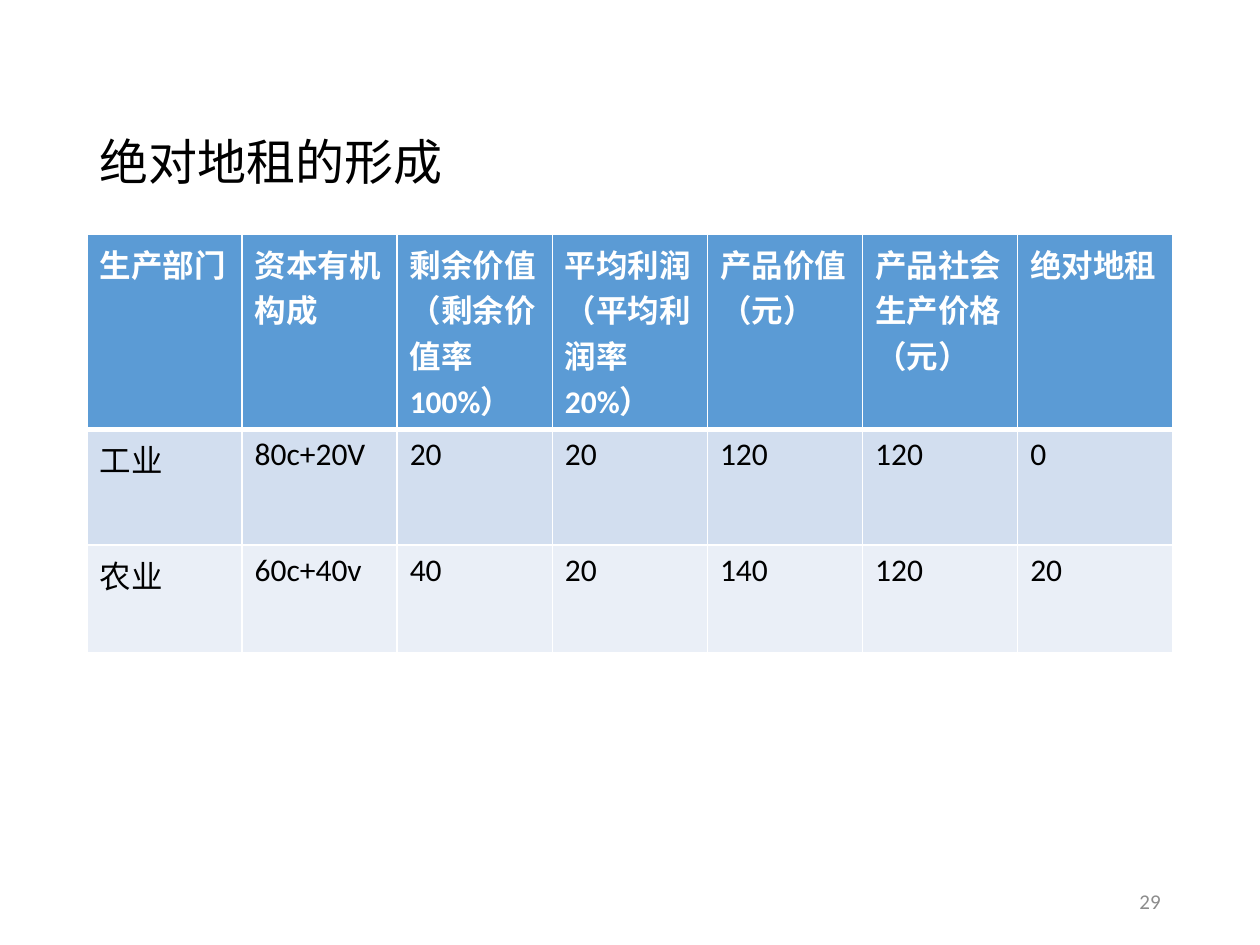
import pptx
import pptx.dml.color
import pptx.enum.text
import pptx.oxml
import pptx.oxml.ns
import pptx.util
from pptx.util import Inches


def color(value):
    return pptx.dml.color.RGBColor.from_string(value)


def format_text(text_frame, size, value, name="Calibri", bold=False):
    for paragraph in text_frame.paragraphs:
        for run in paragraph.runs:
            run.font.size = pptx.util.Pt(size)
            run.font.bold = bold
            run.font.name = name
            run.font.color.rgb = color(value)
            east_asian = pptx.oxml.parse_xml(
                f'<a:ea {pptx.oxml.ns.nsdecls("a")} typeface="Noto Sans CJK SC"/>')
            run.font._element.find(pptx.oxml.ns.qn("a:latin")).addnext(east_asian)


presentation = pptx.Presentation()
presentation.slide_width = Inches(10)
presentation.slide_height = Inches(7.5)
slide = presentation.slides.add_slide(presentation.slide_layouts[5])

# Title
title = slide.shapes.title
title.left, title.top = Inches(0.69), Inches(0.88)
title.width, title.height = Inches(6.29), Inches(0.85)
title.text_frame.text = "绝对地租的形成"
title.text_frame.auto_size = pptx.enum.text.MSO_AUTO_SIZE.NONE
title.text_frame.vertical_anchor = pptx.enum.text.MSO_ANCHOR.MIDDLE
title.text_frame.paragraphs[0].alignment = pptx.enum.text.PP_ALIGN.LEFT
title.text_frame.paragraphs[0].line_spacing = 0.9
format_text(title.text_frame, 28, "000000", "Noto Sans CJK SC")

# Table of absolute rent by sector
rows = [
    ["生产部门", "资本有机构成", "剩余价值\n（剩余价值率100%）", "平均利润\n（平均利润率20%）",
     "产品价值（元）", "产品社会生产价格（元）", "绝对地租"],
    ["工业", "80c+20V", "20", "20", "120", "120", "0"],
    ["农业", "60c+40v", "40", "20", "140", "120", "20"],
]
row_heights = [1.54, 0.92, 0.85]
row_fills = ["5B9BD5", "D2DEEF", "EAEFF7"]
table = slide.shapes.add_table(len(rows), len(rows[0]), Inches(0.69), Inches(1.86),
                               Inches(8.62), Inches(sum(row_heights))).table

for row_index, values in enumerate(rows):
    is_header = row_index == 0
    table.rows[row_index].height = Inches(row_heights[row_index])
    border_widths = {"L": 1, "R": 1, "T": 3 if row_index == 1 else 1, "B": 3 if is_header else 1}
    for column_index, value in enumerate(values):
        cell = table.cell(row_index, column_index)
        cell.text_frame.text = value
        format_text(cell.text_frame, 18, "FFFFFF" if is_header else "000000", bold=is_header)
        properties = cell._tc.get_or_add_tcPr()
        for side, width in border_widths.items():
            properties.append(pptx.oxml.parse_xml(
                f'<a:ln{side} {pptx.oxml.ns.nsdecls("a")} w="{pptx.util.Pt(width)}">'
                f'<a:solidFill><a:srgbClr val="FFFFFF"/></a:solidFill></a:ln{side}>'))
        cell.fill.solid()
        cell.fill.fore_color.rgb = color(row_fills[row_index])

# Page number
page_number = slide.shapes.add_textbox(Inches(7.06), Inches(6.95), Inches(2.25), Inches(0.4))
page_number.text_frame.word_wrap = True
page_number.text_frame.text = "29"
page_number.text_frame.vertical_anchor = pptx.enum.text.MSO_ANCHOR.MIDDLE
page_number.text_frame.paragraphs[0].alignment = pptx.enum.text.PP_ALIGN.RIGHT
format_text(page_number.text_frame, 12, "8C8C8C")

presentation.save("out.pptx")
